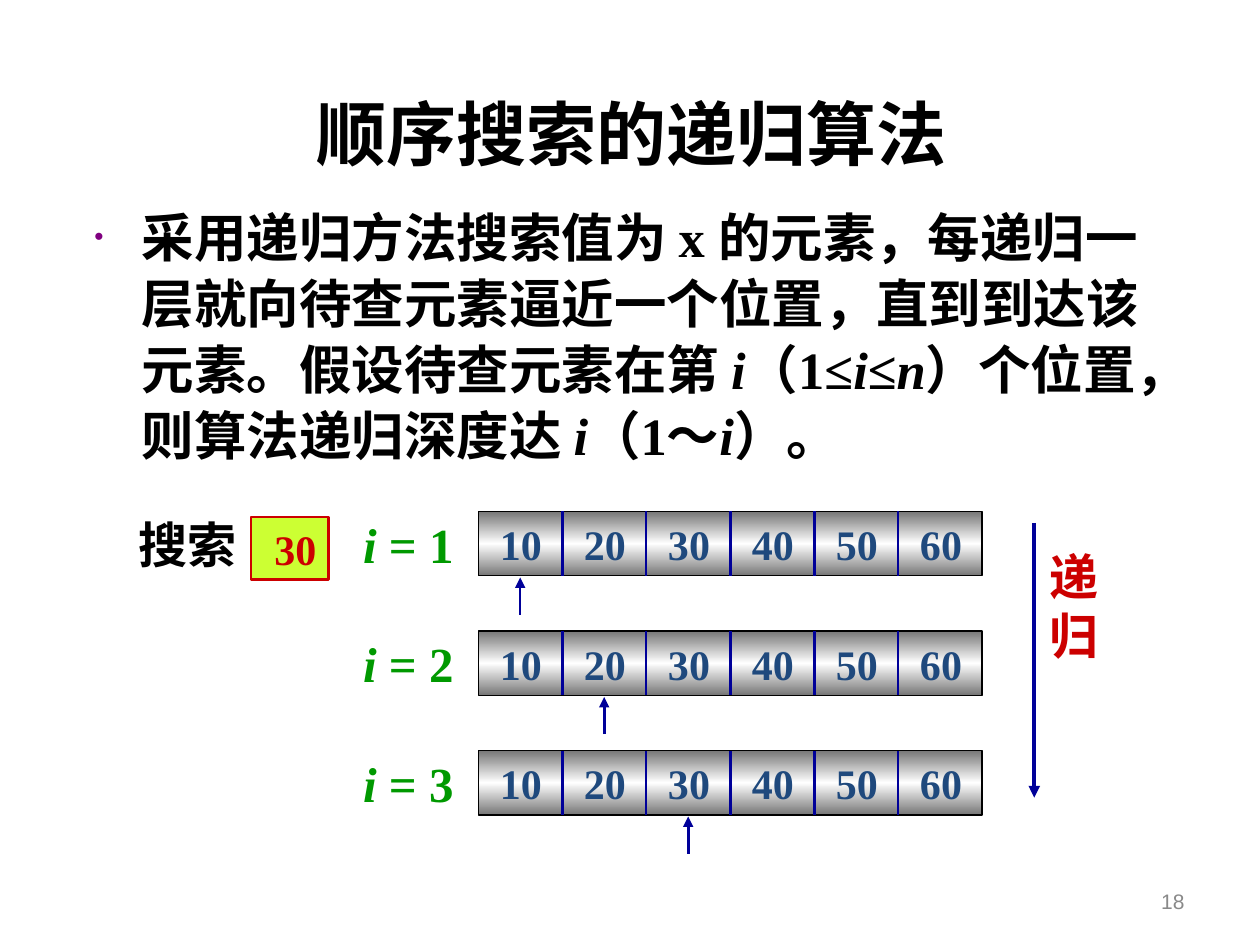
from collections import namedtuple

from lxml.etree import SubElement
from pptx import Presentation
from pptx.dml.color import RGBColor
from pptx.enum.shapes import MSO_CONNECTOR, MSO_SHAPE
from pptx.enum.text import MSO_ANCHOR, MSO_AUTO_SIZE, PP_ALIGN
from pptx.oxml import parse_xml
from pptx.oxml.ns import nsdecls, qn
from pptx.util import Cm, Pt

Box = namedtuple("Box", "left top width height")
SERIF = "Times New Roman"
NAVY, RED, GREEN, BLACK = "000099", "CC0000", "009900", "000000"
VALUES = ["10", "20", "30", "40", "50", "60"]
CELL = 10.16 / len(VALUES)


def colour(hex_value):
    """Turn a hex string into a colour."""
    return RGBColor.from_string(hex_value)


def apply(target, formats):
    """Set every format value on the target."""
    for key, value in formats.items():
        setattr(target, key, value)


def place(shape, box):
    """Move a shape to a box given in centimetres."""
    apply(shape, {side: Cm(length) for side, length in box._asdict().items()})


def add_run(paragraph, words, size, hue, **formats):
    """Append a formatted run, bold serif unless told otherwise."""
    run = paragraph.add_run()
    run.text = words
    apply(run.font, {"name": SERIF, "size": Pt(size), "bold": True, **formats})
    run.font.color.rgb = colour(hue)


def add_label(slide, box, lines, size, hue, align=PP_ALIGN.LEFT, **formats):
    """Add a text box; each line is a list of (words, italic) pairs."""
    label = slide.shapes.add_textbox(*map(Cm, box))
    frame = label.text_frame
    frame.word_wrap = True
    for index, line in enumerate(lines):
        paragraph = frame.add_paragraph() if index else frame.paragraphs[0]
        paragraph.alignment = align
        for words, italic in line:
            add_run(paragraph, words, size, hue, italic=italic, **formats)
    return label


def add_line(slide, start, end, width=1.5, arrow=False):
    """Add a navy line, optionally with an arrowhead at its end."""
    line = slide.shapes.add_connector(MSO_CONNECTOR.STRAIGHT, *map(Cm, (*start, *end)))
    line.line.color.rgb = colour(NAVY)
    line.line.width = Pt(width)
    if arrow:
        SubElement(line.line._get_or_add_ln(), qn("a:tailEnd"), type="triangle")
    SubElement(line._element.spPr, qn("a:effectLst"))
    return line


def add_rectangle(slide, box, edge, width):
    """Add an outlined rectangle without shadow."""
    rectangle = slide.shapes.add_shape(MSO_SHAPE.RECTANGLE, *map(Cm, box))
    rectangle.shadow.inherit = False
    rectangle.line.color.rgb = colour(edge)
    rectangle.line.width = Pt(width)
    rectangle.text_frame.vertical_anchor = MSO_ANCHOR.MIDDLE
    return rectangle


def fill_metallic(shape):
    """Give a shape a grey-white-grey vertical gradient."""
    stops = "".join(
        f'<a:gs pos="{position}"><a:srgbClr val="{hue}"/></a:gs>'
        for position, hue in ((0, "767676"), (50000, "FFFFFF"), (100000, "767676"))
    )
    gradient = parse_xml(
        f'<a:gradFill {nsdecls("a")} rotWithShape="1"><a:gsLst>{stops}</a:gsLst>'
        '<a:lin ang="5400000" scaled="1"/></a:gradFill>'
    )
    shape._element.spPr.find(qn("a:prstGeom")).addnext(gradient)


def add_title(slide, box):
    """Fill the title placeholder."""
    title = slide.shapes.title
    place(title, box)
    title.text_frame.vertical_anchor = MSO_ANCHOR.MIDDLE
    paragraph = title.text_frame.paragraphs[0]
    paragraph.alignment = PP_ALIGN.CENTER
    add_run(paragraph, "顺序搜索的递归算法", 40, BLACK, name="Calibri")


def add_explanation(slide, box):
    """Fill the body placeholder with the bulleted explanation."""
    body = slide.placeholders[1]
    place(body, box)
    body.text_frame.auto_size = MSO_AUTO_SIZE.NONE
    paragraph = body.text_frame.paragraphs[0]
    properties = paragraph._p.get_or_add_pPr()
    apply(properties, {"marL": Cm(0.95), "indent": Cm(-0.95)})
    SubElement(SubElement(properties, qn("a:buClr")), qn("a:srgbClr"), val="800080")
    SubElement(properties, qn("a:buSzPct"), val="50000")
    SubElement(properties, qn("a:buChar"), char="•")
    apply(paragraph, {"line_spacing": 1.05, "space_before": Pt(0)})
    pieces = [
        "采用递归方法搜索值为 x 的元素，每递归一层就向待查元素逼近一个位置，"
        "直到到达该元素。假设待查元素在第 ",
        "i", "（1≤", "i", "≤", "n", "）个位置，则算法递归深度达 ", "i", "（1～", "i", "）。",
    ]
    for index, words in enumerate(pieces):
        add_run(paragraph, words, 30, BLACK, italic=index % 2 == 1)


def add_target(slide, box):
    """Show the value that is searched for."""
    caption_width = 2.52
    caption_box = Box(box.left, box.top, caption_width, box.height)
    caption = add_label(slide, caption_box, [[("搜索", False)]], 28, BLACK)
    caption.text_frame.margin_right = Cm(0)
    target_box = Box(box.left + caption_width, box.top + 0.18, box.width - caption_width, 1.27)
    target = add_rectangle(slide, target_box, RED, 1.5)
    target.fill.solid()
    target.fill.fore_color.rgb = colour("CCFF33")
    paragraph = target.text_frame.paragraphs[0]
    paragraph.alignment = PP_ALIGN.RIGHT
    add_run(paragraph, "30", 24, RED)


def add_step(slide, box, step):
    """Draw the array at one recursion step with its label and pointer."""
    array = add_rectangle(slide, box, BLACK, 0.75)
    fill_metallic(array)
    apply(array.text_frame, {"margin_left": Cm(0.44), "margin_right": Cm(0)})
    paragraph = array.text_frame.paragraphs[0]
    paragraph.alignment = PP_ALIGN.LEFT
    tabs = SubElement(paragraph._p.get_or_add_pPr(), qn("a:tabLst"))
    for index in range(1, len(VALUES)):
        SubElement(tabs, qn("a:tab"), pos=str(Cm(index * CELL)), algn="l")
    add_run(paragraph, "\t".join(VALUES), 24, "1F497D")

    bottom = box.top + box.height
    for index in range(1, len(VALUES)):
        x = box.left + index * CELL
        divider = add_line(slide, (x, box.top), (x, bottom))
        if index * 2 == len(VALUES):
            divider.begin_connect(array, 0)
            divider.end_connect(array, 2)

    pointer = box.left + (step - 0.5) * CELL
    add_line(slide, (pointer, bottom + 0.78), (pointer, bottom + 0.03), arrow=True)
    label_box = Box(box.left - 2.57, box.top - 0.07, 2.57, 1.45)
    label = add_label(slide, label_box, [[("i", True), (f" = {step}", False)]], 28, GREEN)
    label.text_frame.margin_right = Cm(0)


def add_recursion(slide, box):
    """Draw the downward recursion arrow with its vertical caption."""
    add_line(slide, (box.left, box.top), (box.left, box.top + box.height), 2.25, True)
    caption_box = Box(box.left + 0.05, box.top + 0.36, box.width, 2.64)
    add_label(slide, caption_box, [[("递", False)], [("归", False)]], 28, RED)


def add_page_number(slide, box):
    """Show the page number."""
    number = add_label(slide, box, [[("18", False)]], 12, "898989",
                       align=PP_ALIGN.RIGHT, name="Arial", bold=False)
    number.text_frame.vertical_anchor = MSO_ANCHOR.MIDDLE


def main():
    """Build the slide and save it."""
    deck = Presentation()
    apply(deck, {"slide_width": Cm(25.4), "slide_height": Cm(19.05)})
    slide = deck.slides.add_slide(deck.slide_layouts[1])
    add_title(slide, Box(1.3, 1.22, 22.86, 2.9))
    add_explanation(slide, Box(1.65, 3.94, 22.25, 5.89))
    add_target(slide, Box(2.54, 10.24, 4.09, 1.45))
    for step in range(1, 4):
        add_step(slide, Box(9.64, 10.31 + (step - 1) * 2.41, 10.16, 1.3), step)
    add_recursion(slide, Box(20.85, 10.54, 1.6, 5.54))
    add_page_number(slide, Box(18.21, 17.65, 5.92, 1.02))
    deck.save("out.pptx")


if __name__ == "__main__":
    main()
